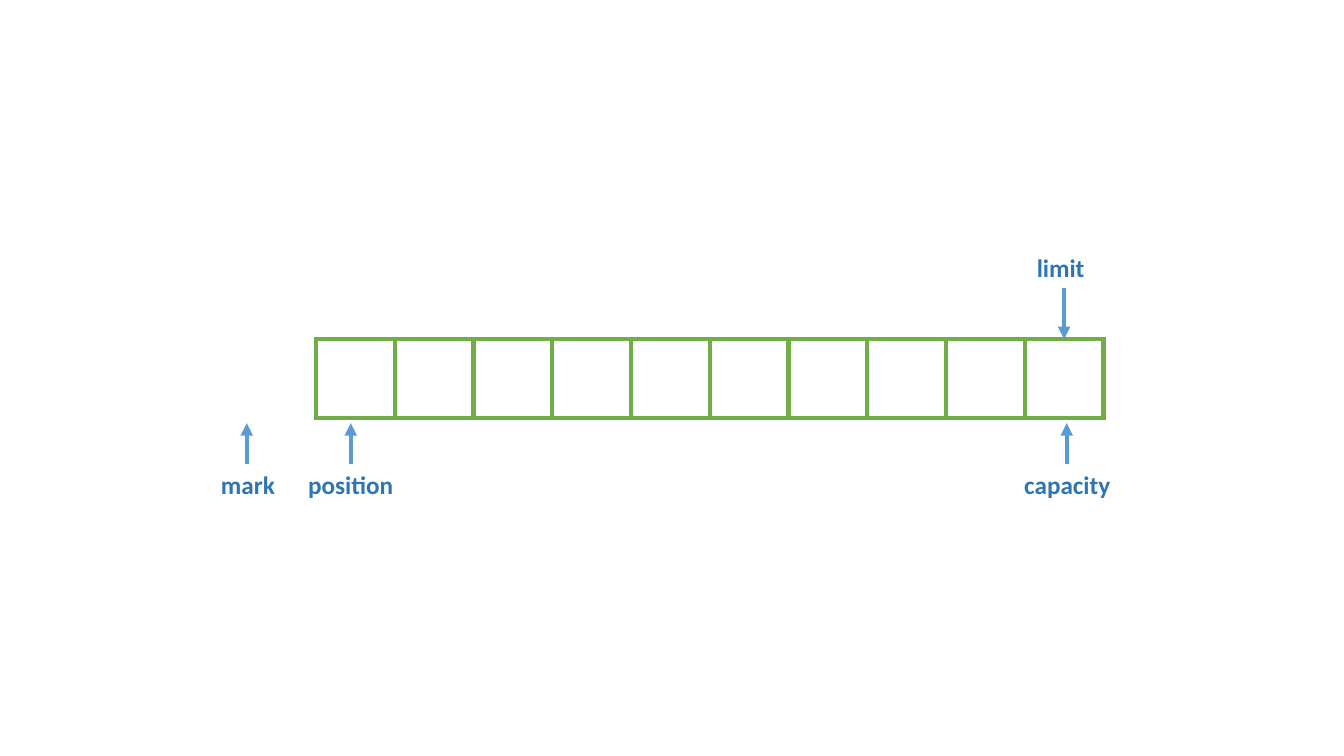
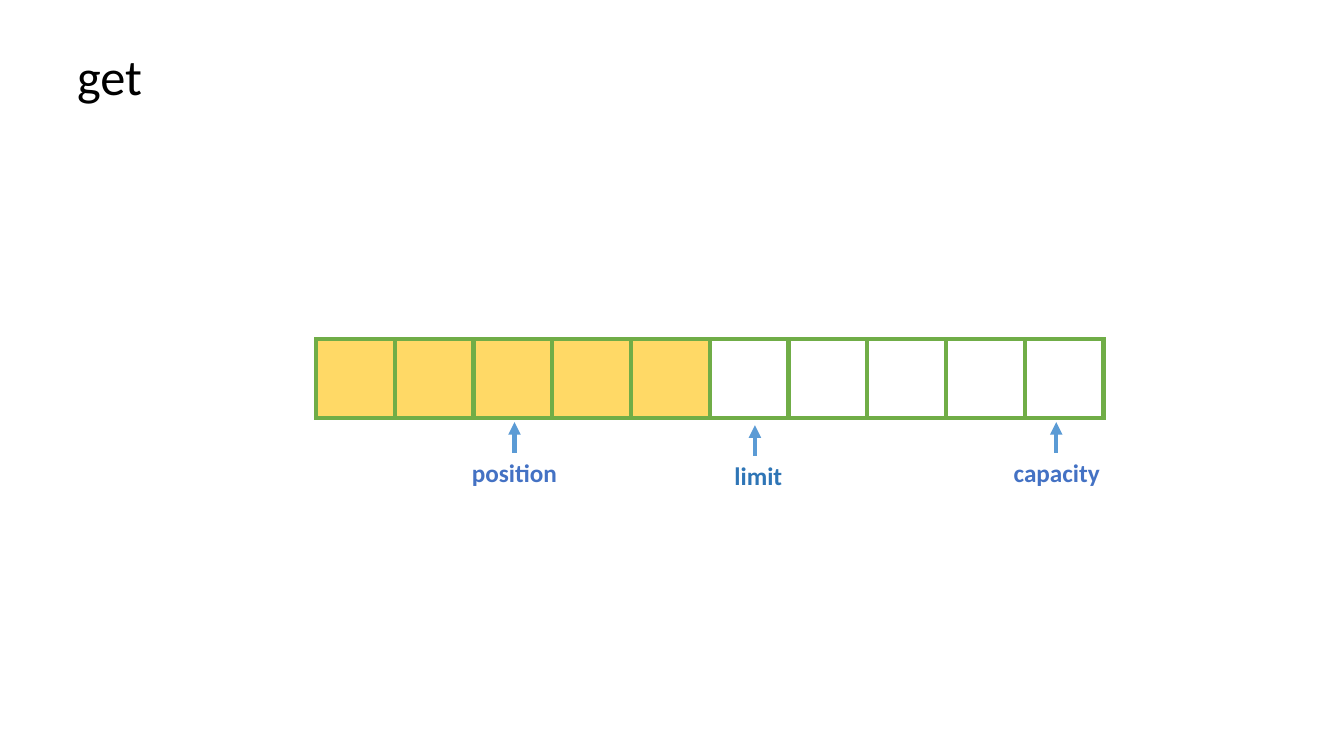
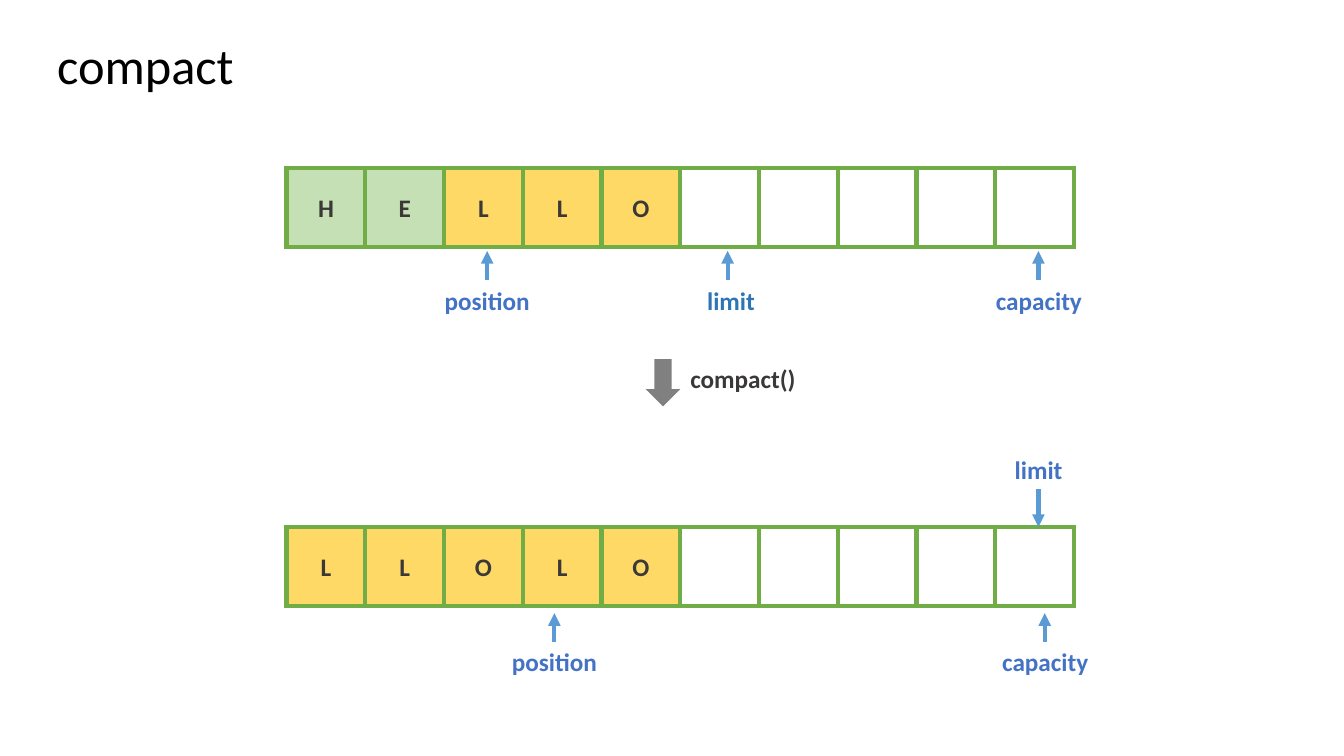
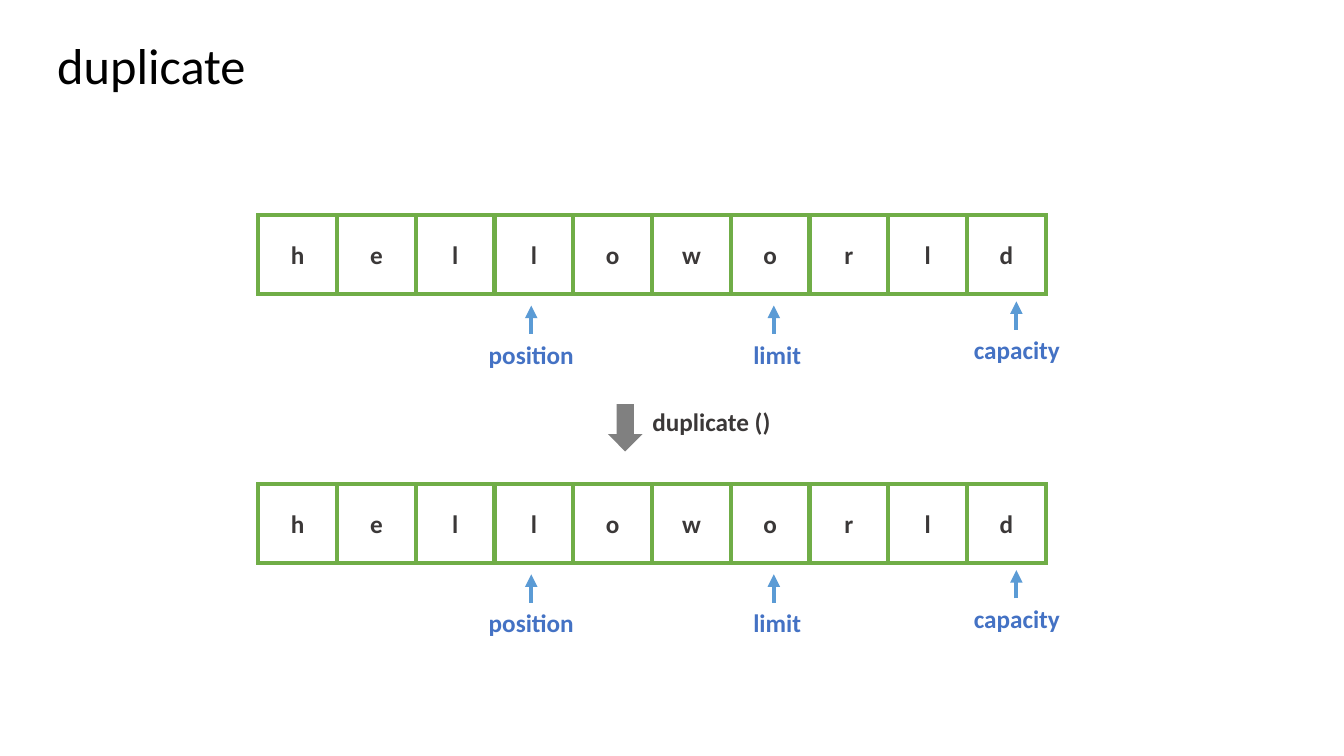
from dataclasses import dataclass

from lxml.etree import SubElement
from pptx import Presentation
from pptx.dml.color import RGBColor
from pptx.enum.shapes import MSO_CONNECTOR as Connector, MSO_SHAPE as Preset
from pptx.enum.text import MSO_ANCHOR as Anchor, MSO_AUTO_SIZE as AutoSize, PP_ALIGN as Align
from pptx.oxml.ns import qn
from pptx.util import Emu, Pt

EMU_PER_PX = 9525
FONT = "Calibri"
COLORS = {
    "black": "000000", "ink": "3B3838", "gray": "808080",
    "blue": "2E75B6", "indigo": "4472C4", "arrow": "5B9BD5",
    "border": "70AD47", "empty": "FFFFFF", "unread": "FFD966", "read": "C5E0B4",
}
CELL_COUNT = 10
CELL = 75
LABEL_HEIGHT = 38
LABEL_WIDTH = 115
WIDE_LABEL = 201


@dataclass
class Pointer:
    """An index below a buffer row: x counts from the row's left, gap from its bottom."""
    name: str
    x: int
    gap: int
    length: int
    color: str = "indigo"
    indent: int = 0


def px(*lengths):
    return [Emu(length * EMU_PER_PX) for length in lengths]


def rgb(name):
    return RGBColor.from_string(COLORS[name])


def add_span(para, text, color, size=18, bold=True):
    span = para.add_run()
    span.text = text
    span.font.name = FONT
    span.font.size = Pt(size)
    span.font.bold = bold
    span.font.color.rgb = rgb(color)


def add_label(shapes, box, text, color, size=18, bold=True, indent=0):
    label = shapes.add_textbox(*px(*box))
    frame = label.text_frame
    frame.word_wrap = True
    frame.auto_size = AutoSize.SHAPE_TO_FIT_TEXT
    para = frame.paragraphs[0]
    if indent:
        para._p.get_or_add_pPr().set("marL", str(indent * EMU_PER_PX))
    add_span(para, text, color, size, bold)


def add_title(page, left, top, text):
    add_label(page.shapes, (left, top, WIDE_LABEL, 68), text, "black", 36, False)


def add_arrow(shapes, x, start, end):
    arrow = shapes.add_connector(Connector.STRAIGHT, *px(x, start, x, end))
    arrow.line.color.rgb = rgb("arrow")
    arrow.line.width = Pt(3)
    SubElement(arrow.line._get_or_add_ln(), qn("a:tailEnd"), type="triangle")
    SubElement(arrow._element.spPr, qn("a:effectLst"))
    return arrow


def add_cell(page, left, top, letter, fill):
    cell = page.shapes.add_shape(Preset.RECTANGLE, *px(left, top, CELL, CELL))
    cell.shadow.inherit = False
    cell.fill.solid()
    cell.fill.fore_color.rgb = rgb(fill)
    cell.line.color.rgb = rgb("border")
    cell.line.width = Pt(3)
    SubElement(cell.line._get_or_add_ln(), qn("a:miter"), lim="800000")
    if letter:
        frame = cell.text_frame
        frame.vertical_anchor = Anchor.MIDDLE
        para = frame.paragraphs[0]
        para.alignment = Align.CENTER
        add_span(para, letter, "ink")
    return cell


def add_buffer(page, left, top, pointers, letters="", read=0, unread=0):
    """Draw a row of cells, the first ones filled, with pointers below; return the cells."""
    fills = ["read"] * read + ["unread"] * unread
    fills += ["empty"] * (CELL_COUNT - len(fills))
    cells = [add_cell(page, left + index * CELL, top, letters[index:index + 1], fill)
             for index, fill in enumerate(fills)]
    for pointer in pointers:
        group = page.shapes.add_group_shape()
        x = left + pointer.x
        tip = top + CELL + pointer.gap
        tail = tip + pointer.length
        add_arrow(group.shapes, x, tail, tip)
        add_label(group.shapes, (x - 50, tail, LABEL_WIDTH, LABEL_HEIGHT),
                  pointer.name, pointer.color, indent=pointer.indent)
    return cells


def add_top_limit(page, x, row_top, length, label_left, color):
    arrow = add_arrow(page.shapes, x, row_top - length, row_top)
    label_top = row_top - length - LABEL_HEIGHT
    add_label(page.shapes, (label_left, label_top, CELL, LABEL_HEIGHT), "limit", color)
    return arrow


def add_step(page, left, top, text, rise):
    """Draw the block arrow between two rows; the call beside it sits higher by rise."""
    arrow = page.shapes.add_shape(Preset.DOWN_ARROW, *px(left, top, 33, 45))
    arrow.shadow.inherit = False
    arrow.fill.solid()
    arrow.fill.fore_color.rgb = rgb("gray")
    arrow.line.fill.background()
    add_label(page.shapes, (left + 33, top - rise, WIDE_LABEL, LABEL_HEIGHT), text, "ink")


def build_initial(page):
    left, top = 301, 323
    cells = add_buffer(page, left, top, [
        Pointer("capacity", 715, 5, 39, "blue"),
        Pointer("position", 33, 5, 39, "blue"),
        Pointer("mark", -66, 5, 39, "blue", 16),
    ])
    arrow = add_top_limit(page, 1013, top, 49, 978, "blue")
    arrow.end_connect(cells[-1], 0)
    arrow.begin_x = arrow.end_x


def build_get(page):
    add_title(page, 64, 38, "get")
    add_buffer(page, 301, 323, [
        Pointer("capacity", 705, 4, 29),
        Pointer("position", 189, 4, 29),
        Pointer("limit", 418, 7, 29, "blue", 21),
    ], unread=5)


def build_compact(page):
    left, top, result_top = 273, 160, 502
    add_title(page, 45, 28, "compact")
    add_buffer(page, left, top, [
        Pointer("capacity", 716, 4, 28),
        Pointer("position", 191, 4, 28),
        Pointer("limit", 420, 4, 28, "blue", 21),
    ], "HELLO", read=2, unread=3)
    add_step(page, 615, 342, "compact()", 1)
    add_buffer(page, left, result_top, [
        Pointer("capacity", 722, 7, 27),
        Pointer("position", 255, 7, 27),
    ], "LLOLO", unread=5)
    add_top_limit(page, 989, result_top, 36, 957, "indigo")


def build_duplicate(page):
    add_title(page, 45, 28, "duplicate")
    pointers = [
        Pointer("capacity", 722, 7, 27),
        Pointer("position", 260, 11, 27),
        Pointer("limit", 491, 11, 27, indent=21),
    ]
    for top in (205, 461):
        add_buffer(page, 246, top, pointers, "helloworld")
    add_step(page, 579, 385, "duplicate ()", 3)


def main():
    deck = Presentation()
    deck.slide_width, deck.slide_height = px(1280, 720)
    for build in (build_initial, build_get, build_compact, build_duplicate):
        build(deck.slides.add_slide(deck.slide_layouts[6]))
    deck.save("out.pptx")


if __name__ == "__main__":
    main()
